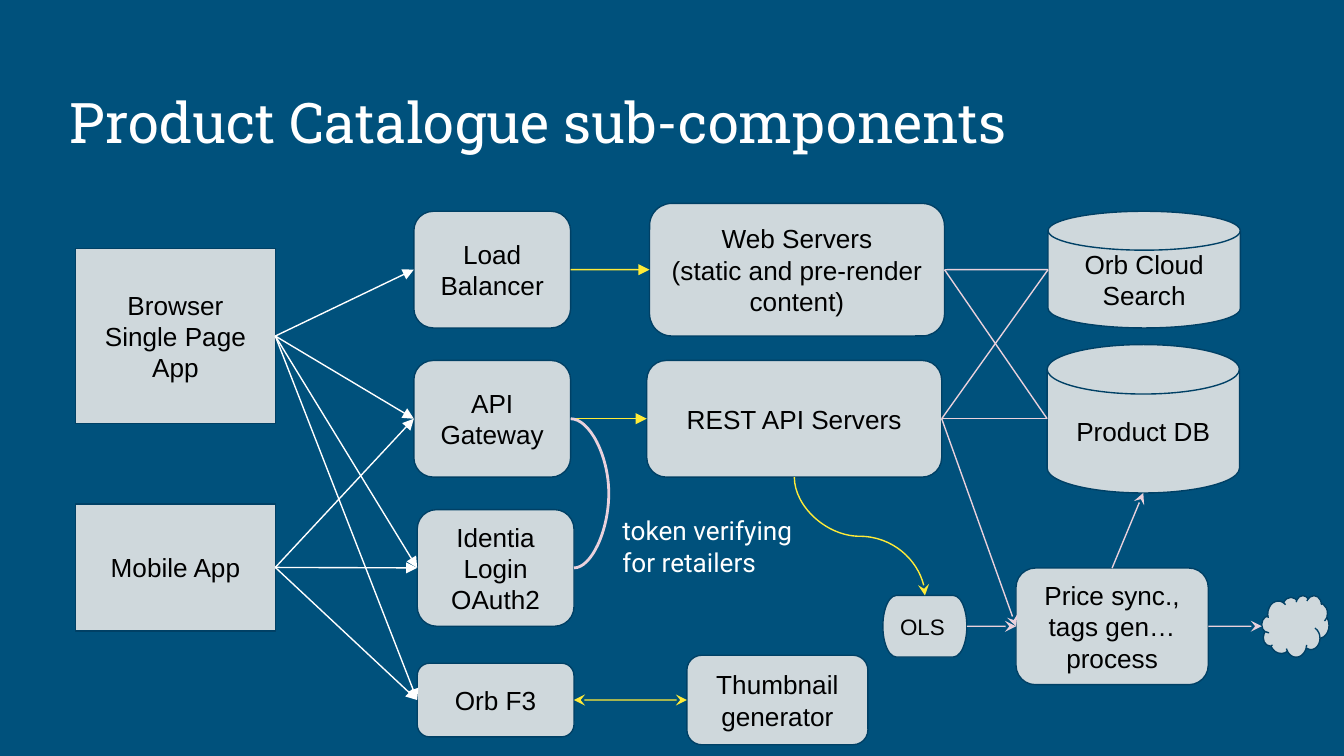
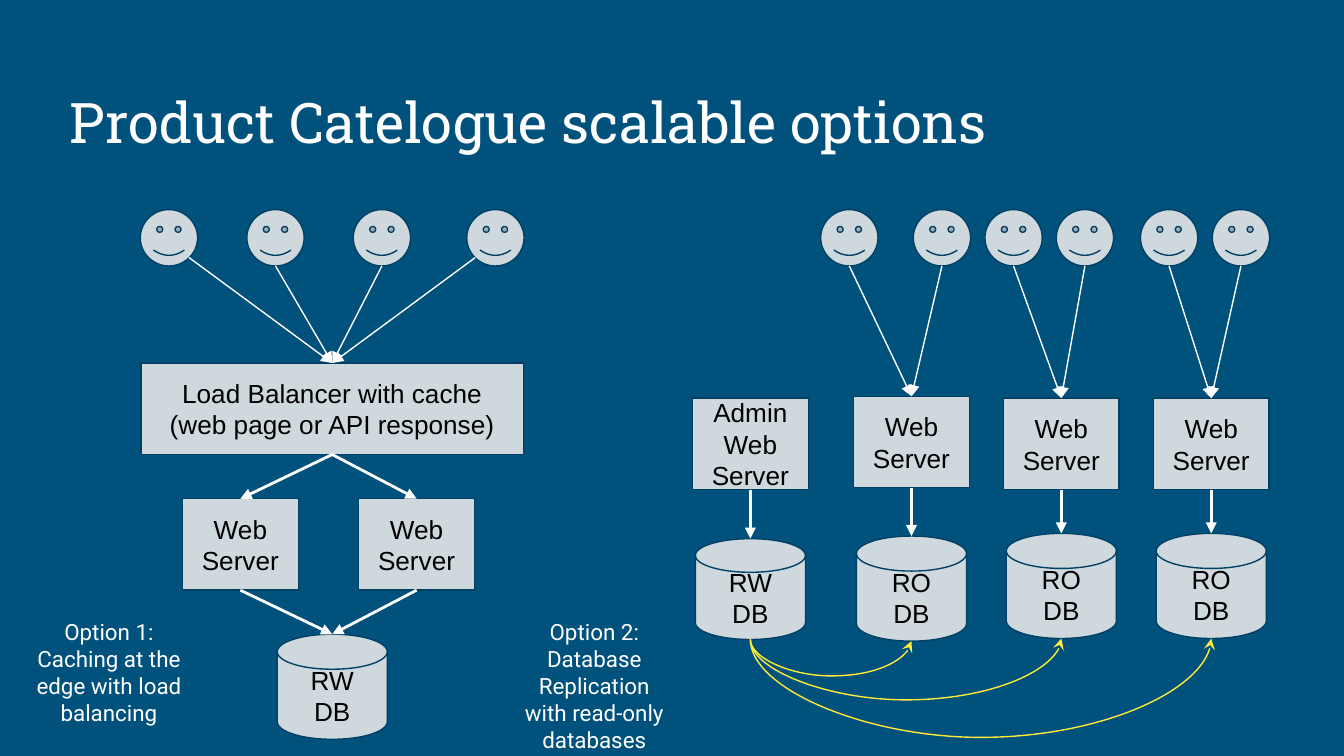
from lxml import etree
from pptx import Presentation
from pptx.dml.color import RGBColor
from pptx.enum.shapes import MSO_CONNECTOR as Connector, MSO_SHAPE as Shape
from pptx.enum.text import MSO_ANCHOR as Anchor, MSO_AUTO_SIZE as AutoSize, PP_ALIGN as Align
from pptx.oxml.ns import qn
from pptx.util import Pt

# Shared colours and fonts
NAVY = RGBColor(0x00, 0x51, 0x7C)
OUTLINE = RGBColor(0x00, 0x40, 0x65)
GREY = RGBColor(0xCF, 0xD8, 0xDC)
BLACK = RGBColor(0x00, 0x00, 0x00)
WHITE = RGBColor(0xFF, 0xFF, 0xFF)
YELLOW = RGBColor(0xFF, 0xEB, 0x38)
PINK = RGBColor(0xEA, 0xD1, 0xDC)
TITLE_FONT, LABEL_FONT, NODE_FONT = "Roboto Slab", "Roboto", "Arial"

THIN, THICK = 0.75, 1.5
FACE_WIDTH, FACE_HEIGHT, FACE_TOP = 30.7, 30.2, 112.3
SERVER_WIDTH, SERVER_HEIGHT = 62, 49
DISK_WIDTH, DISK_HEIGHT = 59, 56.3


def write(frame, text, size, font, colour, align):
    """Fill a frame: newlines part paragraphs, vertical tabs break lines."""
    frame.word_wrap = True
    frame.margin_left = frame.margin_right = Pt(7.2)
    frame.margin_top = frame.margin_bottom = Pt(7.2)
    for number, line in enumerate(text.split("\n")):
        paragraph = frame.add_paragraph() if number else frame.paragraphs[0]
        paragraph.alignment = align
        for part_number, part in enumerate(line.split("\v")):
            if part_number:
                paragraph.add_line_break()
            run = paragraph.add_run()
            run.text = part
            run.font.size = Pt(size)
            run.font.name = font
            run.font.color.rgb = colour


def add_label(slide, box, text, size, font=LABEL_FONT, align=Align.LEFT):
    label = slide.shapes.add_textbox(*map(Pt, box))
    write(label.text_frame, text, size, font, WHITE, align)
    return label.text_frame


def add_titled_slide(deck, title):
    slide = deck.slides.add_slide(deck.slide_layouts[6])
    slide.background.fill.solid()
    slide.background.fill.fore_color.rgb = NAVY
    frame = add_label(slide, (30.4, 36, 659, 54), title, 30, TITLE_FONT)
    frame.vertical_anchor = Anchor.BOTTOM
    return slide


def add_note(slide, box, text, size, align):
    add_label(slide, box, text, size, align=align).auto_size = AutoSize.SHAPE_TO_FIT_TEXT


def add_node(slide, kind, box, text="", size=14, align=Align.CENTER):
    node = slide.shapes.add_shape(kind, *map(Pt, box))
    node.shadow.inherit = False
    node.fill.solid()
    node.fill.fore_color.rgb = GREY
    node.line.color.rgb = OUTLINE
    node.line.width = Pt(THIN)
    if text:
        node.text_frame.vertical_anchor = Anchor.MIDDLE
        write(node.text_frame, text, size, NODE_FONT, BLACK, align)
    return node


def add_face(slide, center):
    box = (center - FACE_WIDTH / 2, FACE_TOP, FACE_WIDTH, FACE_HEIGHT)
    face = add_node(slide, Shape.SMILEY_FACE, box)
    face.adjustments[0] = 0.047
    return face


def add_server(slide, center, top, text="Web Server"):
    box = (center - SERVER_WIDTH / 2, top, SERVER_WIDTH, SERVER_HEIGHT)
    return add_node(slide, Shape.RECTANGLE, box, text)


def add_database(slide, center, top, text, height=DISK_HEIGHT):
    box = (center - DISK_WIDTH / 2, top, DISK_WIDTH, height)
    return add_node(slide, Shape.FLOWCHART_MAGNETIC_DISK, box, text)


def spot(node, across, down):
    """Point on a node, given as fractions of its width and height."""
    return int(node.left + node.width * across), int(node.top + node.height * down)


def top(node):
    return spot(node, 0.5, 0)


def bottom(node):
    return spot(node, 0.5, 1)


def left(node):
    return spot(node, 0, 0.5)


def right(node):
    return spot(node, 1, 0.5)


def style_line(link, colour, width, head, tail):
    link.line.color.rgb = colour
    link.line.width = Pt(width)
    outline = link.element.find(".//" + qn("a:ln"))
    for end, arrow in (("a:headEnd", head), ("a:tailEnd", tail)):
        if arrow:
            etree.SubElement(outline, qn(end), type=arrow)
    etree.SubElement(outline.getparent(), qn("a:effectLst"))


def add_link(slide, start, end, colour=WHITE, width=THIN, head=None, tail="triangle"):
    link = slide.shapes.add_connector(Connector.STRAIGHT, *start, *end)
    style_line(link, colour, width, head, tail)


def add_curve(slide, box, turn, flip, bend, colour, width, tail):
    """Curved connector in an unturned box; bend is a fraction of its run."""
    curve = slide.shapes.add_connector(Connector.CURVE, *map(int, box))
    frame = curve.element.find(".//" + qn("a:xfrm"))
    frame.set("rot", str(turn * 60000))
    if flip:
        frame.set("flipH", "1")
    guides = curve.element.find(".//" + qn("a:avLst"))
    etree.SubElement(guides, qn("a:gd"), name="adj1", fmla=f"val {round(bend * 100000)}")
    style_line(curve, colour, width, None, tail)


def add_side_loop(slide, start, end, bend_x):
    """Loop leaving and returning on the right, from lower to upper node."""
    bend = (bend_x - start[0]) / (end[0] - start[0])
    add_curve(slide, (*end, *start), 180, False, bend, PINK, THICK, None)


def add_drop_curve(slide, start, end, bend_y):
    """Curve that leaves downwards and ends to the right of its start."""
    run, rise = end[0] - start[0], end[1] - start[1]
    mid_x, mid_y = (start[0] + end[0]) / 2, (start[1] + end[1]) / 2
    half_width, half_height = abs(rise) / 2, run / 2
    box = (mid_x - half_width, mid_y - half_height, mid_x + half_width, mid_y + half_height)
    bend = (bend_y - start[1]) / rise
    add_curve(slide, box, 270, rise > 0, bend, YELLOW, THIN, "stealth")


def build_components(deck):
    slide = add_titled_slide(deck, "Product Catalogue sub-components")
    rounded, disk = Shape.FLOWCHART_ALTERNATE_PROCESS, Shape.FLOWCHART_MAGNETIC_DISK

    # Clients
    browser = add_node(slide, Shape.RECTANGLE, (40.5, 133.3, 107, 93.5), "Browser\nSingle Page App")
    mobile = add_node(slide, Shape.RECTANGLE, (40.5, 270, 107, 68), "Mobile App")

    # Entry points
    balancer = add_node(slide, rounded, (221.7, 113.2, 84, 62.5), "Load Balancer")
    gateway = add_node(slide, rounded, (221.7, 193.1, 84, 62.5), "API Gateway")
    login = add_node(slide, rounded, (223.5, 273, 84, 62.5), "Identia Login OAuth2")
    storage = add_node(slide, rounded, (223.5, 355.3, 84, 39.5), "Orb F3")

    # Servers and stores
    web = add_node(slide, rounded, (348, 109, 158, 71),
                   "Web Servers\n(static and pre-render content)")
    rest = add_node(slide, rounded, (346.5, 193.1, 158, 62.5), "REST API Servers")
    thumbnails = add_node(slide, rounded, (368, 351, 97, 48), "Thumbnail generator")
    search = add_node(slide, disk, (561.5, 113.2, 103, 62.5), "Orb Cloud Search")
    products = add_node(slide, disk, (561, 184.6, 103, 79.5), "Product DB")

    # Price synchronisation
    queue = add_node(slide, Shape.FLOWCHART_TERMINATOR, (473, 319, 45, 33), "OLS", 12, Align.LEFT)
    sync = add_node(slide, rounded, (544.3, 304.3, 103, 62.5), "Price sync., tags gen… process")
    internet = add_node(slide, Shape.CLOUD, (676, 319, 36, 33))

    # Requests from the clients
    for client, targets in ((browser, (balancer, gateway, login, storage)),
                            (mobile, (gateway, login, storage))):
        for target in targets:
            add_link(slide, right(client), left(target))
    for entry, server in ((balancer, web), (gateway, rest)):
        add_link(slide, right(entry), left(server), YELLOW)
    add_link(slide, right(storage), left(thumbnails), YELLOW, head="stealth", tail="stealth")

    # Data access
    for server in (web, rest):
        for store in (search, products):
            add_link(slide, right(server), left(store), PINK, tail=None)
    for start, end in ((right(rest), left(sync)), (right(queue), left(sync)),
                       (top(sync), bottom(products)), (right(sync), left(internet))):
        add_link(slide, start, end, PINK, tail="stealth")
    add_drop_curve(slide, bottom(rest), top(queue), Pt(287.3))

    # Token check
    add_side_loop(slide, right(login), right(gateway), Pt(326))
    add_note(slide, (326.3, 268.5, 107, 48), "token verifying for retailers", 14, Align.LEFT)


def build_caching_option(slide):
    cache = add_node(slide, Shape.FLOWCHART_PROCESS, (75.5, 194.5, 205, 49),
                     "Load Balancer with cache\n(web page or API response)")
    database = add_database(slide, 178, 339.8, "RW DB")

    # Visitors: the outer two are linked from the lower inside of the face
    for center, across, down in ((90.5, 0.85, 0.85), (147.6, 0.5, 1),
                                 (204.6, 0.5, 1), (265.4, 0.15, 0.85)):
        add_link(slide, spot(add_face(slide, center), across, down), top(cache))

    for center in (128.8, 223.2):
        server = add_server(slide, center, 267.2)
        add_link(slide, bottom(cache), top(server), width=THICK)
        add_link(slide, bottom(server), top(database), width=THICK)
    add_note(slide, (10.4, 324, 96, 73),
             "Option 1:\nCaching at the edge with load balancing", 12, Align.CENTER)


def build_replication_option(slide):
    admin = add_server(slide, 402, 213.3, "Admin\vWeb Server")
    primary = add_database(slide, 402, 288.6, "RW\nDB", 54)
    add_link(slide, bottom(admin), top(primary), width=THICK)

    # Read-only replicas: visitor centres, server top, disk top, curve depth
    replicas = (((455, 504.6), 212.3, 287.2, 362),
                ((543, 581.2), 213.3, 285.8, 374.3),
                ((626.3, 664.8), 213.3, 285.8, 394))
    for number, (visitors, server_top, disk_top, depth) in enumerate(replicas):
        center = 488.3 + 80.3 * number
        server = add_server(slide, center, server_top)
        replica = add_database(slide, center, disk_top, "RO\nDB")
        for visitor in visitors:
            add_link(slide, bottom(add_face(slide, visitor)), top(server))
        add_link(slide, bottom(server), top(replica), width=THICK)
        add_drop_curve(slide, bottom(primary), bottom(replica), Pt(depth))
    add_note(slide, (272.4, 324, 92, 87),
             "Option 2:\nDatabase Replication with read-only databases", 12, Align.CENTER)


def main():
    deck = Presentation()
    deck.slide_width, deck.slide_height = Pt(720), Pt(405)
    build_components(deck)
    options = add_titled_slide(deck, "Product Catelogue scalable options")
    build_caching_option(options)
    build_replication_option(options)
    deck.save("out.pptx")


if __name__ == "__main__":
    main()
